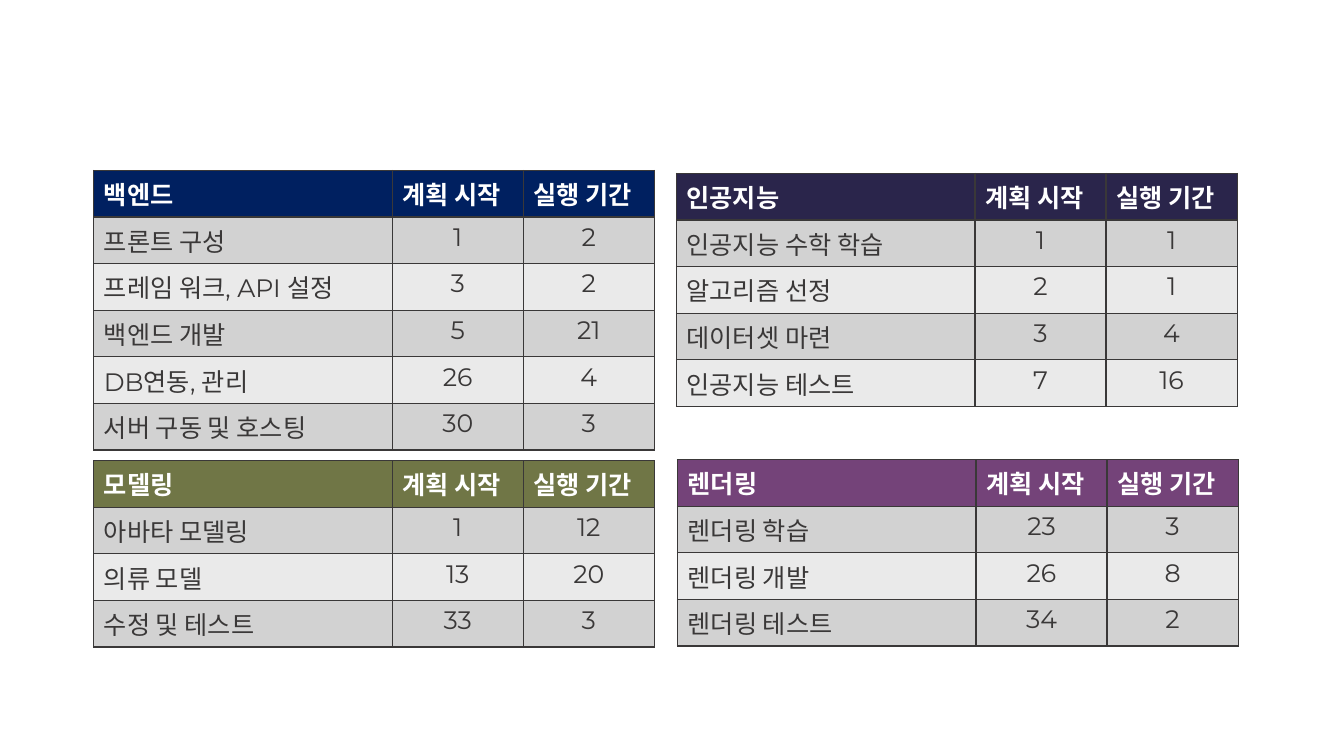
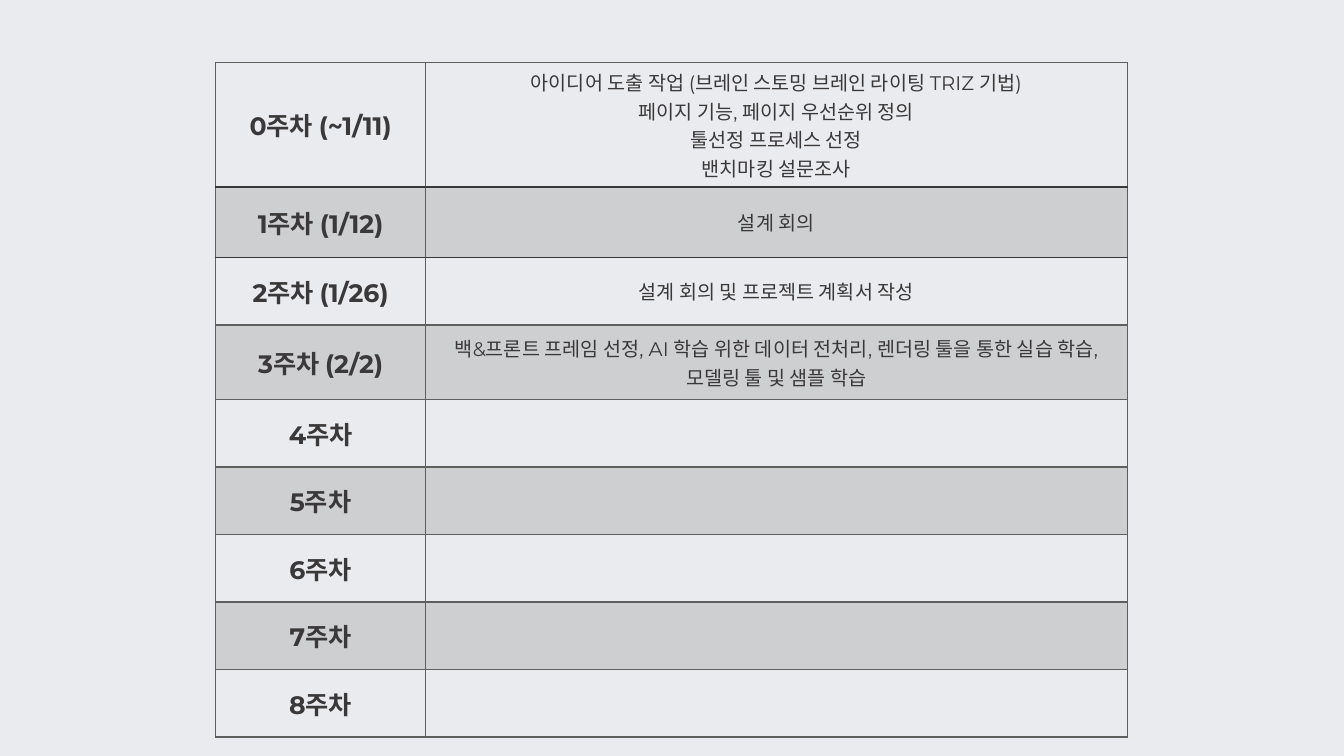
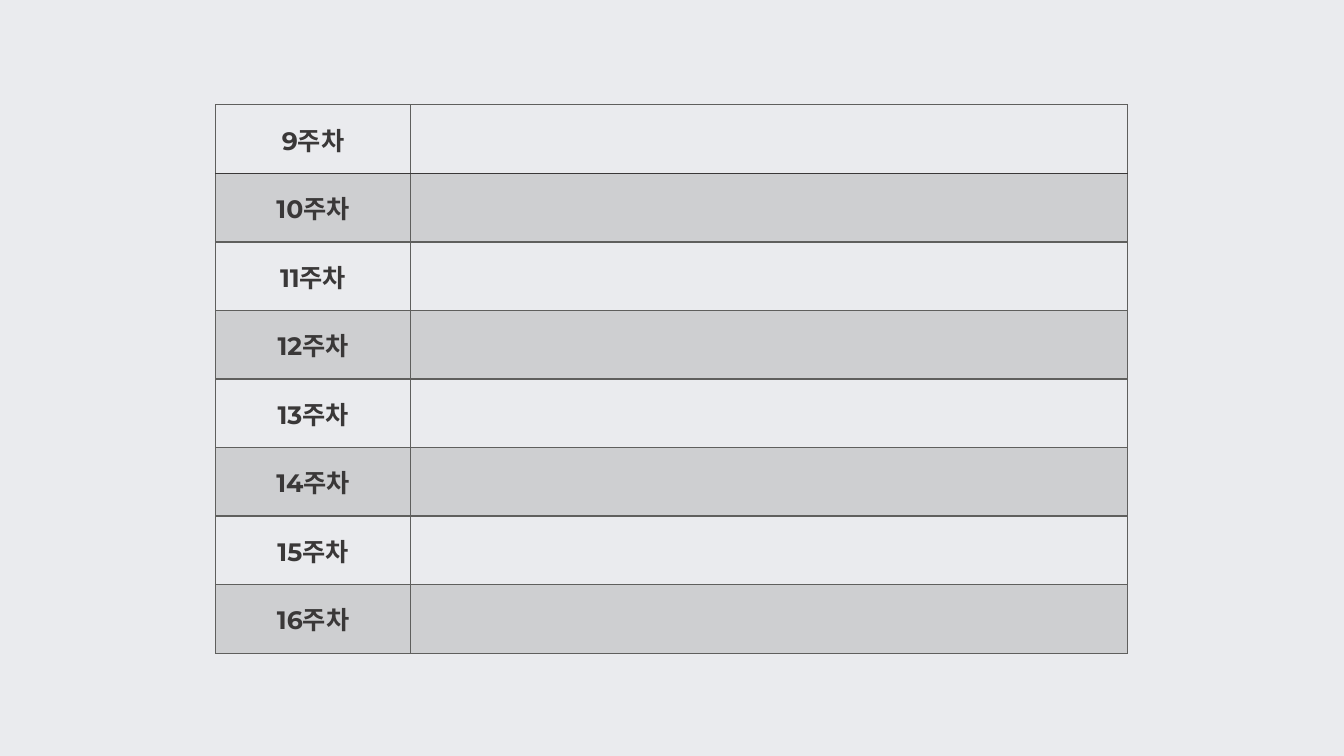
import lxml.etree
import pptx
import pptx.dml.color
import pptx.enum.text
import pptx.oxml.ns
import pptx.util

Inches = pptx.util.Inches
Pt = pptx.util.Pt
RGBColor = pptx.dml.color.RGBColor
PP_ALIGN = pptx.enum.text.PP_ALIGN
ANCHOR = pptx.enum.text.MSO_ANCHOR
qn = pptx.oxml.ns.qn

WHITE = RGBColor(0xFF, 0xFF, 0xFF)
INK = RGBColor(0x3A, 0x38, 0x38)
GREY = RGBColor(0x5F, 0x5F, 0x5D)
PALE = RGBColor(0xEA, 0xEB, 0xEE)
BANDS = (RGBColor(0xD2, 0xD2, 0xD2), RGBColor(0xEA, 0xEA, 0xEA))
NAVY = RGBColor(0x00, 0x20, 0x60)
INDIGO = RGBColor(0x2A, 0x25, 0x4B)
OLIVE = RGBColor(0x70, 0x76, 0x46)
PLUM = RGBColor(0x74, 0x43, 0x79)

FONT = "Montserrat"
HEAD = {"size": Pt(18), "bold": True}
BODY = {"size": Pt(18), "bold": False}
NOTE = {"size": Pt(14), "bold": False}


class Deck:
    """Hold the shared style and the current slide."""

    def __init__(self):
        self.show = pptx.Presentation()
        self.show.slide_width = Inches(13.33)
        self.show.slide_height = Inches(7.5)
        self.slide = None

    def page(self, color):
        """Start a blank slide on a plain ground."""
        self.slide = self.show.slides.add_slide(self.show.slide_layouts[6])
        fill = self.slide.background.fill
        fill.solid()
        fill.fore_color.rgb = color

    def grid(self, left, top, cols, rows):
        """Add a bare table with the given widths and heights."""
        frame = self.slide.shapes.add_table(
            len(rows), len(cols), Inches(left), Inches(top),
            Inches(sum(cols)), Inches(sum(rows)))
        table = frame.table
        table.first_row = table.horz_banding = False
        for col, width in zip(table.columns, cols):
            col.width = Inches(width)
        for row, height in zip(table.rows, rows):
            row.height = Inches(height)
        return table

    def label(self, cell, text, form, color, align=PP_ALIGN.LEFT, anchor=ANCHOR.TOP):
        """Put styled lines into a cell."""
        cell.vertical_anchor = anchor
        cell.text_frame.text = text
        for para in cell.text_frame.paragraphs:
            para.alignment = align
            for run in para.runs:
                for key, value in {"name": FONT, **form}.items():
                    setattr(run.font, key, value)
                run.font.color.rgb = color

    def edge(self, cell, sides):
        """Draw the four borders of a cell, one point wide."""
        props = cell._tc.get_or_add_tcPr()
        for side, color in zip("LRTB", sides):
            line = lxml.etree.SubElement(props, qn("a:ln" + side), w=str(Pt(1)))
            fill = lxml.etree.SubElement(line, qn("a:solidFill"))
            lxml.etree.SubElement(fill, qn("a:srgbClr"), val=str(color))

    def paint(self, cell, color, alpha=100):
        """Fill a cell, see-through when alpha is below 100."""
        cell.fill.solid()
        cell.fill.fore_color.rgb = color
        if alpha < 100:
            tone = cell._tc.tcPr.find(qn("a:solidFill"))[0]
            lxml.etree.SubElement(tone, qn("a:alpha"), val=str(alpha * 1000))

    def plan(self, left, top, color, name, tasks):
        """Add one team's task table."""
        rows = [(name, "계획 시작", "실행 기간"), *tasks]
        table = self.grid(left, top, (2.96, 1.3, 1.3), [0.46] * len(rows))
        for r, row in enumerate(rows):
            for c, text in enumerate(row):
                cell = table.cell(r, c)
                self.edge(cell, [INK] * 4)
                if r == 0:
                    self.paint(cell, color)
                    self.label(cell, text, HEAD, WHITE)
                else:
                    self.paint(cell, BANDS[(r - 1) % 2])
                    align = PP_ALIGN.CENTER if c else PP_ALIGN.LEFT
                    self.label(cell, str(text), BODY, INK, align)

    def weeks(self, top, cols, rows, first, dates, notes, dark):
        """Add a week log whose first inner lines are dark."""
        table = self.grid(2.14, top, cols, rows)
        for r in range(len(rows)):
            week = f"{first + r}주차"
            if r < len(dates):
                week += f" ({dates[r]})"
            note = notes[r] if r < len(notes) else ""
            above = INK if 1 <= r <= dark else GREY
            below = INK if r < dark else GREY
            for c, (text, form) in enumerate(((week, HEAD), (note, NOTE))):
                cell = table.cell(r, c)
                self.edge(cell, (GREY, GREY, above, below))
                if r % 2:
                    self.paint(cell, GREY, 20)
                else:
                    cell.fill.background()
                self.label(cell, text, form, INK, PP_ALIGN.CENTER, ANCHOR.MIDDLE)


PLANS = (
    (6.72, 4.56, PLUM, "렌더링", (
        ("렌더링 학습", 23, 3),
        ("렌더링 개발", 26, 8),
        ("렌더링 테스트", 34, 2))),
    (0.93, 4.57, OLIVE, "모델링", (
        ("아바타 모델링", 1, 12),
        ("의류 모델", 13, 20),
        ("수정 및 테스트", 33, 3))),
    (6.71, 1.72, INDIGO, "인공지능", (
        ("인공지능 수학 학습", 1, 1),
        ("알고리즘 선정", 2, 1),
        ("데이터셋 마련", 3, 4),
        ("인공지능 테스트", 7, 16))),
    (0.93, 1.69, NAVY, "백엔드", (
        ("프론트 구성", 1, 2),
        ("프레임 워크, API 설정", 3, 2),
        ("백엔드 개발", 5, 21),
        ("DB연동, 관리", 26, 4),
        ("서버 구동 및 호스팅", 30, 3))),
)
DATES = ("~1/11", "1/12", "1/26", "2/2")
NOTES = (
    "아이디어 도출 작업 (브레인 스토밍 브레인 라이팅 TRIZ 기법)\n"
    "페이지 기능, 페이지 우선순위 정의\n"
    "툴선정 프로세스 선정\n"
    "밴치마킹 설문조사",
    "설계 회의",
    "설계 회의 및 프로젝트 계획서 작성",
    "백&프론트 프레임 선정, AI 학습 위한 데이터 전처리, "
    "렌더링 툴을 통한 실습 학습, 모델링 툴 및 샘플 학습",
)

deck = Deck()
deck.page(WHITE)
for team in PLANS:
    deck.plan(*team)

deck.page(PALE)
deck.weeks(0.62, (2.08, 6.96), [1.23, 0.7, 0.67, 0.74] + [0.67] * 5, 0, DATES, NOTES, 2)

deck.page(PALE)
deck.weeks(1.04, (1.93, 7.11), [0.68] * 8, 9, (), (), 1)

deck.show.save("out.pptx")
